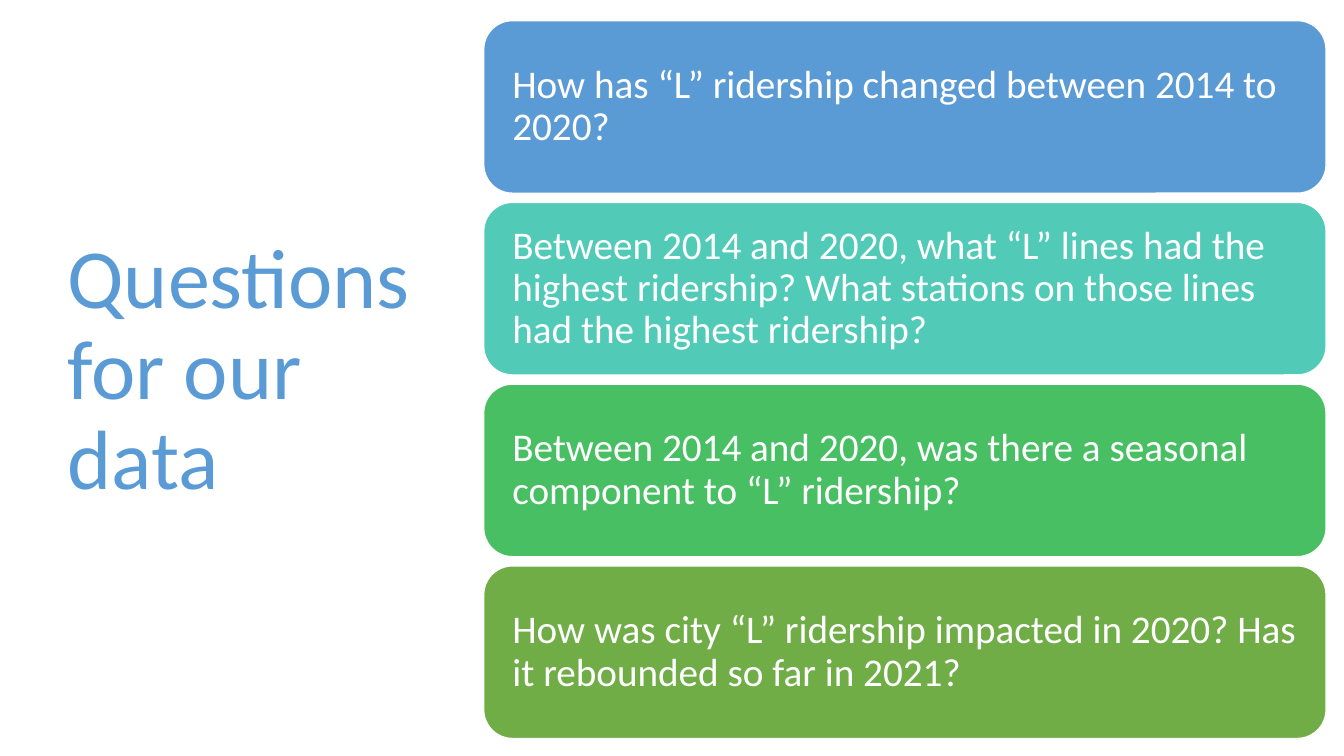
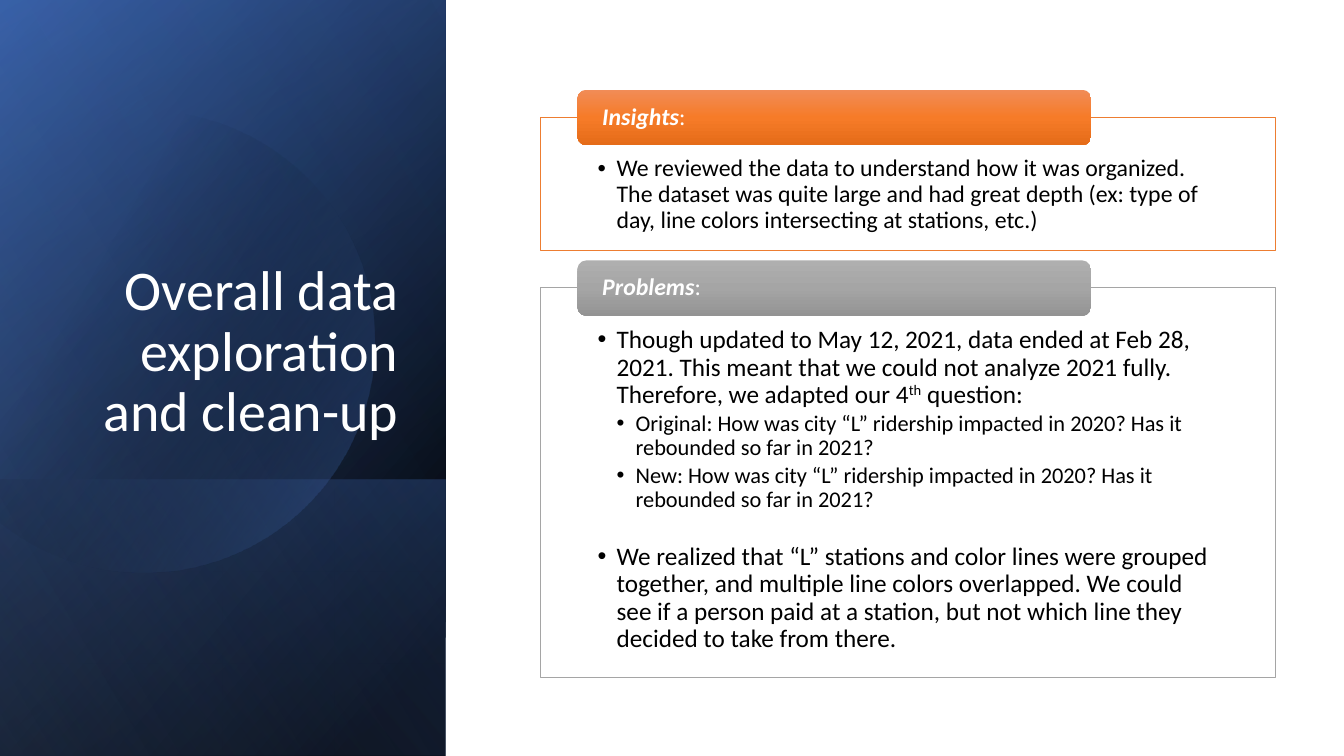
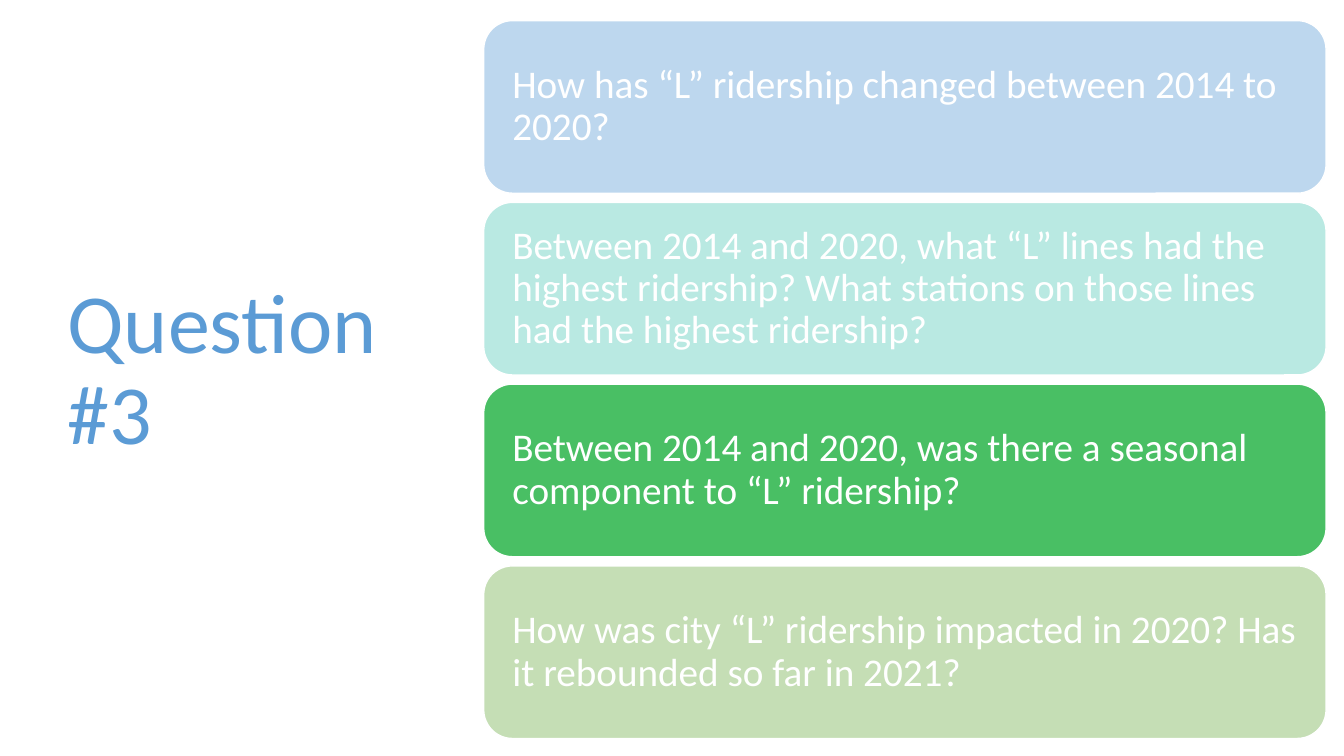
import math

import lxml.etree
import pptx
import pptx.dml.color
import pptx.enum.shapes
import pptx.enum.text
import pptx.oxml.ns
import pptx.util

Cm = pptx.util.Cm
Pt = pptx.util.Pt
RGBColor = pptx.dml.color.RGBColor
KIND = pptx.enum.shapes.MSO_SHAPE
ALIGN = pptx.enum.text.PP_ALIGN
ANCHOR = pptx.enum.text.MSO_ANCHOR
FIT = pptx.enum.text.MSO_AUTO_SIZE
qn = pptx.oxml.ns.qn

FONT = "Calibri"
WHITE = RGBColor(0xFF, 0xFF, 0xFF)
BLACK = RGBColor(0x00, 0x00, 0x00)
SKY = RGBColor(0x5B, 0x9B, 0xD5)
TEAL = RGBColor(0x52, 0xCA, 0xB8)
GREEN = RGBColor(0x49, 0xBF, 0x64)
OLIVE = RGBColor(0x70, 0xAD, 0x47)
NAVY = RGBColor(0x2F, 0x55, 0x97)
BLUE = RGBColor(0x44, 0x72, 0xC4)
PALE = RGBColor(0x8F, 0xAA, 0xDC)
ORANGE = RGBColor(0xED, 0x7D, 0x31)
GRAY = RGBColor(0xA5, 0xA5, 0xA5)
WARM = [(0, RGBColor(0xF1, 0x8C, 0x57), 100),
        (50, RGBColor(0xF6, 0x7B, 0x28), 100),
        (100, RGBColor(0xE5, 0x6C, 0x19), 100)]
COOL = [(0, RGBColor(0xAF, 0xAF, 0xAF), 100),
        (50, GRAY, 100),
        (100, RGBColor(0x93, 0x93, 0x93), 100)]

CARDS = [
    ("How has “L” ridership changed between 2014 to 2020?", SKY),
    ("Between 2014 and 2020, what “L” lines had the highest ridership? "
     "What stations on those lines had the highest ridership?", TEAL),
    ("Between 2014 and 2020, was there a seasonal component to “L” ridership?",
     GREEN),
    ("How was city “L” ridership impacted in 2020? "
     "Has it rebounded so far in 2021?", OLIVE),
]

INSIGHTS = [
    (0, 17, 0, ["We reviewed the data to understand how it was organized. "
                "The dataset was quite large and had great depth (ex: type of "
                "day, line colors intersecting at stations, etc.)"]),
]
PROBLEMS = [
    (0, 18, 0, ["Though updated to May 12, 2021, data ended at Feb 28, 2021. "
                "This meant that we could not analyze 2021 fully. "
                "Therefore, we adapted our 4", "th", " question:"]),
    (1, 16, 0, ["Original: How was city “L” ridership impacted in 2020? "
                "Has it rebounded so far in 2021?"]),
    (1, 16, 0, ["New: How was city “L” ridership impacted in 2020? "
                "Has it rebounded so far in 2021?"]),
    (0, 18, 20, ["We realized that “L” stations and color lines were grouped "
                 "together, and multiple line colors overlapped. We could see "
                 "if a person paid at a station, but not which line they "
                 "decided to take from there."]),
]

PANEL_W = 11.23
PANEL_H = 19.05
BAND_TOP = 12.09


def place(shape, left, top, width, height):
    shape.left, shape.top = Cm(left), Cm(top)
    shape.width, shape.height = Cm(width), Cm(height)


def inset(frame, left, top, right, low):
    frame.margin_left, frame.margin_top = Cm(left), Cm(top)
    frame.margin_right, frame.margin_bottom = Cm(right), Cm(low)
    frame.word_wrap = True
    frame.auto_size = FIT.NONE


def style(para, size, color, align=ALIGN.LEFT):
    para.alignment = align
    para.line_spacing = 0.9
    para.space_before = Pt(0)
    for run in para.runs:
        run.font.name = FONT
        run.font.size = Pt(size)
        run.font.color.rgb = color


def fade(shape, color, alpha):
    shape.fill.solid()
    shape.fill.fore_color.rgb = color
    if alpha < 100:
        tint = shape.element.spPr.find(qn("a:solidFill")).find(qn("a:srgbClr"))
        lxml.etree.SubElement(tint, qn("a:alpha")).set("val", str(alpha * 1000))


def blend(shape, stops, angle):
    shape.shadow.inherit = False
    shape.line.fill.background()
    shape.fill.background()
    blank = shape.element.spPr.find(qn("a:noFill"))
    grad = lxml.etree.Element(qn("a:gradFill"), rotWithShape="1")
    group = lxml.etree.SubElement(grad, qn("a:gsLst"))
    for spot, color, alpha in stops:
        stop = lxml.etree.SubElement(group, qn("a:gs"), pos=str(spot * 1000))
        tint = lxml.etree.SubElement(stop, qn("a:srgbClr"), val=str(color))
        if alpha < 100:
            lxml.etree.SubElement(tint, qn("a:alpha"), val=str(alpha * 1000))
    lxml.etree.SubElement(grad, qn("a:lin"), ang=str(angle * 60000), scaled="0")
    blank.getparent().replace(blank, grad)


def draw(slide, kind, left, top, width, height):
    return slide.shapes.add_shape(kind, Cm(left), Cm(top), Cm(width), Cm(height))


def head(slide, text, spot, size, color, align, anchor):
    title = slide.shapes.title
    place(title, *spot)
    frame = title.text_frame
    frame.text = text
    inset(frame, 0.25, 0.13, 0.25, 0.13)
    frame.vertical_anchor = anchor
    style(frame.paragraphs[0], size, color, align)
    title.element.getparent().append(title.element)


def card(slide, row, text, color, alpha):
    shape = draw(slide, KIND.ROUNDED_RECTANGLE, 12.19, 0.52 + 4.58 * row, 21.23, 4.35)
    shape.shadow.inherit = False
    fade(shape, color, alpha)
    shape.line.color.rgb = WHITE
    shape.line.width = Pt(1)
    frame = shape.text_frame
    frame.text = text
    inset(frame, 0.51, 0.51, 0.51, 0.51)
    frame.vertical_anchor = ANCHOR.MIDDLE
    style(frame.paragraphs[0], 28, WHITE)


def ask(deck, text, focus=None):
    slide = deck.slides.add_slide(deck.slide_layouts[5])
    head(slide, text, (1.45, 1.73, 10.08, 15.29), 60, SKY, ALIGN.LEFT, ANCHOR.MIDDLE)
    for row, (line, color) in enumerate(CARDS):
        card(slide, row, line, color, 100 if focus in (None, row) else 40)


def disc(slide, mid_x, mid_y, size):
    reach = math.acos(-mid_x / size)
    count = 90
    dots = []
    for step in range(count + 1):
        turn = reach * (2 * step / count - 1)
        dots.append((Cm(max(0, mid_x + size * math.cos(turn))),
                     Cm(mid_y + size * math.sin(turn))))
    path = slide.shapes.build_freeform(*dots[0])
    path.add_line_segments(dots[1:], close=True)
    blend(path.convert_to_shape(), [(29, BLACK, 0), (100, BLUE, 43)], 30)


def panel(slide):
    def layer(top, stops, angle):
        shape = draw(slide, KIND.RECTANGLE, 0, top, PANEL_W, PANEL_H - top)
        blend(shape, stops, angle)

    layer(0, [(8, BLACK, 100), (100, NAVY, 100)], 220)
    layer(0, [(0, BLACK, 0), (99, BLUE, 46)], 240)
    layer(BAND_TOP, [(2, BLUE, 29), (100, BLACK, 30)], 140)
    disc(slide, 3.63, 8.61, 5.82)
    layer(0, [(0, BLACK, 0), (99, PALE, 11)], 150)


def bullet(para, level):
    para.level = level
    props = para._p.get_or_add_pPr()
    props.set("marL", str(Cm(0.48 * (level + 1))))
    props.set("indent", str(Cm(-0.48)))
    lxml.etree.SubElement(props, qn("a:buChar"), char="•")


def topic(slide, box, label, items, top, height, edge, stops):
    place(box, 13.61, top, 18.52, height)
    fade(box, WHITE, 100)
    box.line.color.rgb = edge
    box.line.width = Pt(0.5)
    frame = box.text_frame
    inset(frame, 1.45, 0.99, 1.45, 0.33)
    frame.vertical_anchor = ANCHOR.TOP
    for place_no, (level, size, gap, parts) in enumerate(items):
        para = frame.paragraphs[0] if place_no == 0 else frame.add_paragraph()
        bullet(para, level)
        for part in parts:
            run = para.add_run()
            run.text = part
            if part == "th":
                run._r.get_or_add_rPr().set("baseline", "30000")
        style(para, size, BLACK)
        para.space_before = Pt(gap)
        para.space_after = Pt(size * 0.15)

    tag = draw(slide, KIND.ROUNDED_RECTANGLE, 14.55, top - 0.69, 12.95, 1.4)
    blend(tag, stops, 90)
    frame = tag.text_frame
    frame.text = label
    inset(frame, 0.56, 0, 0.56, 0)
    frame.vertical_anchor = ANCHOR.MIDDLE
    para = frame.paragraphs[0]
    para.runs[0].font.bold = True
    para.runs[0].font.italic = True
    para.add_run().text = ":"
    style(para, 17, WHITE)


def review(deck):
    slide = deck.slides.add_slide(deck.slide_layouts[3])
    first, second = list(slide.placeholders)[1:]
    panel(slide)
    head(slide, "Overall data exploration and clean-up",
         (1.63, 4.67, 8.66, 6.65), 40, WHITE, ALIGN.RIGHT, ANCHOR.BOTTOM)
    topic(slide, first, "Insights", INSIGHTS, 2.95, 3.35, ORANGE, WARM)
    topic(slide, second, "Problems", PROBLEMS, 7.25, 9.83, GRAY, COOL)


def main():
    deck = pptx.Presentation()
    deck.slide_width = Cm(33.87)
    deck.slide_height = Cm(19.05)
    ask(deck, "Questions for our data")
    review(deck)
    ask(deck, "Question\v#3", 2)
    deck.save("out.pptx")


if __name__ == "__main__":
    main()
